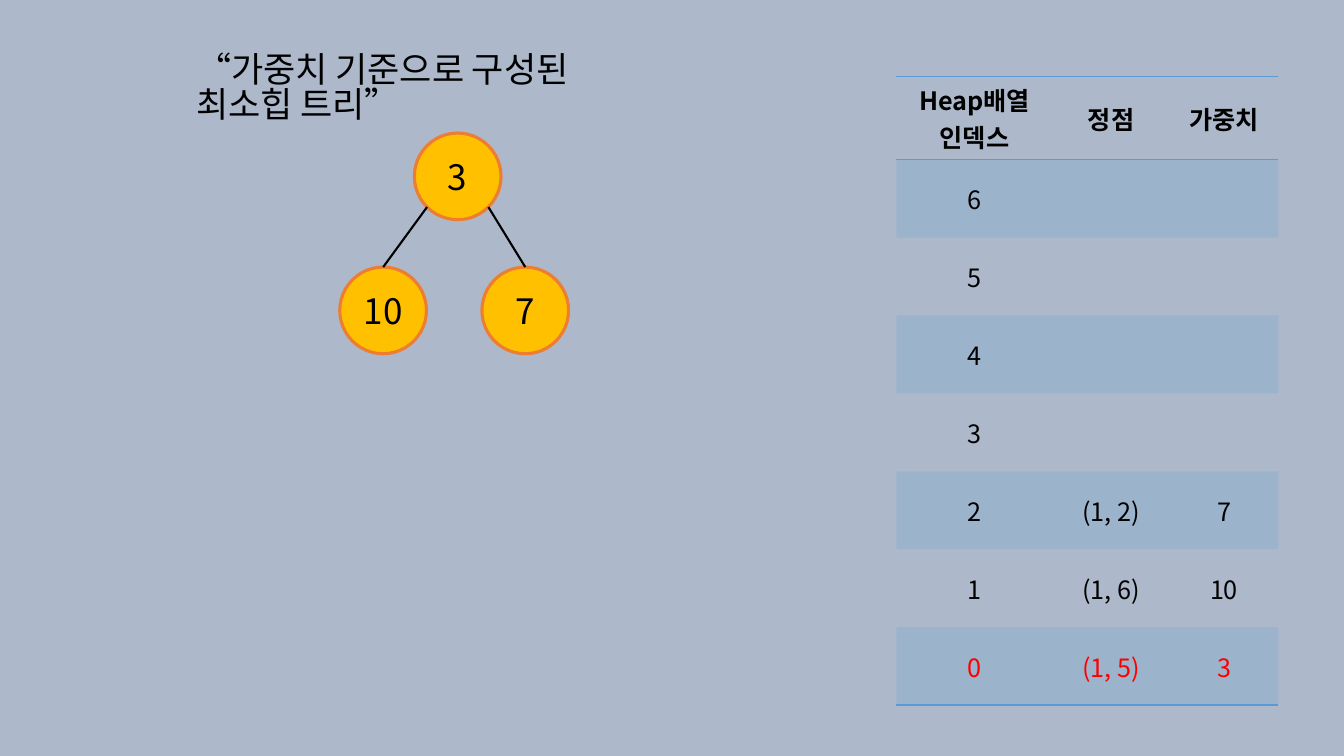
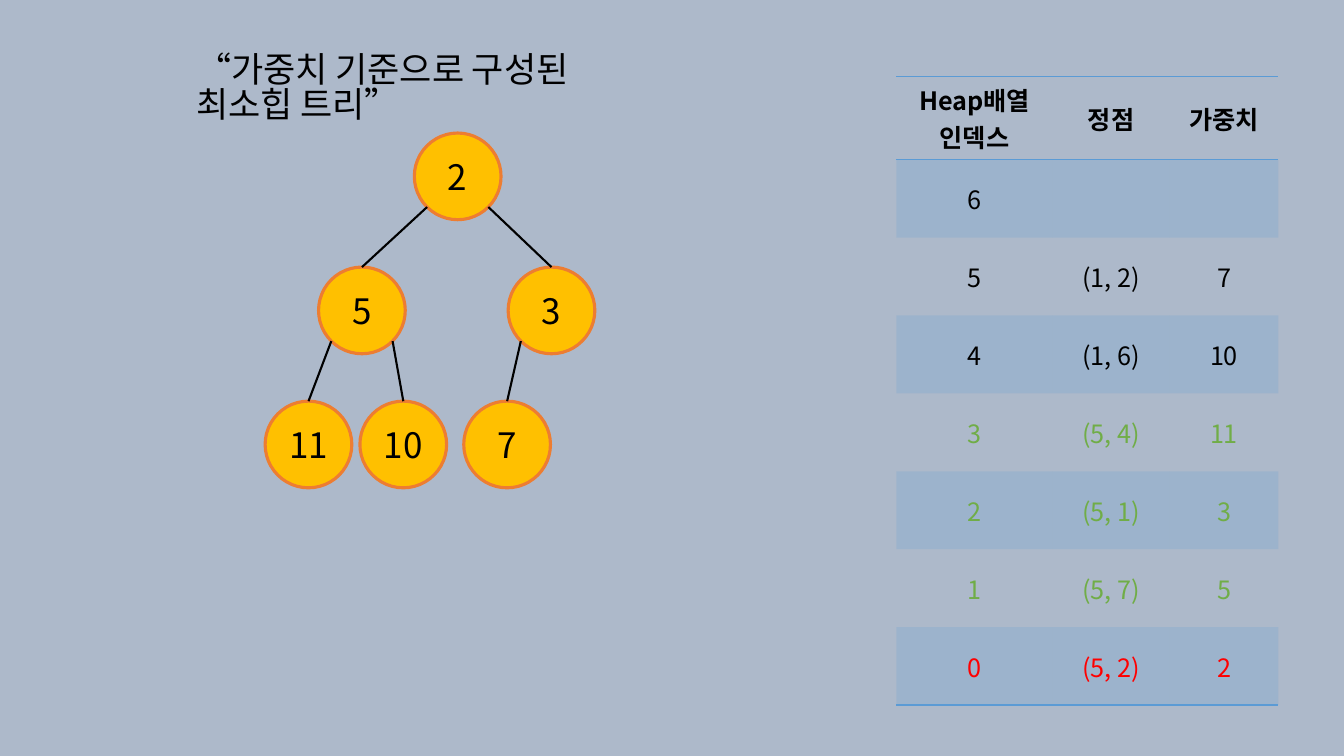
from pptx import Presentation
from pptx.dml.color import RGBColor
from pptx.enum.shapes import MSO_CONNECTOR, MSO_SHAPE
from pptx.enum.text import MSO_ANCHOR, PP_ALIGN
from pptx.oxml.ns import qn
from pptx.util import Inches, Pt
from lxml import etree

OVAL = MSO_SHAPE.OVAL
LINE = MSO_CONNECTOR.STRAIGHT
MIDDLE = MSO_ANCHOR.MIDDLE
LEFT, CENTER = PP_ALIGN.LEFT, PP_ALIGN.CENTER

FONT = "Noto Sans CJK KR"
PLAIN = "{2D5ABB26-0587-4C30-8999-92F81FD0307C}"
COLORS = {
    "back": "ADB9CA",
    "ink": "000000",
    "node": "FFC000",
    "ring": "ED7D31",
    "blue": "5B9BD5",
    "green": "70AD47",
    "red": "FF0000",
}
TITLE = "“가중치 기준으로 구성된 최소힙 트리”"
HEADS = ["Heap배열\n인덱스", "정점", "가중치"]
WIDTHS = [1.55, 1.16, 1.08]
SLOTS = 7
HEAD = 0.72
ROW = (6.13 - HEAD) / SLOTS
SIZE = 0.86
TOP = 1.32
STEP = 1.33
DIAG = SIZE / 2 * 0.5 ** 0.5

HEAPS = [
    [
        ("(1, 5)", 3, 4.11, "red"),
        ("(1, 6)", 10, 3.37, "ink"),
        ("(1, 2)", 7, 4.78, "ink"),
    ],
    [
        ("(5, 2)", 2, 4.11, "red"),
        ("(5, 7)", 5, 3.16, "green"),
        ("(5, 1)", 3, 5.04, "green"),
        ("(5, 4)", 11, 2.63, "green"),
        ("(1, 6)", 10, 3.57, "ink"),
        ("(1, 2)", 7, 4.6, "ink"),
    ],
]


def rgb(name):
    return RGBColor.from_string(COLORS[name])


def write(frame, text, size=25, color="ink", bold=False, align=CENTER, space=None):
    for i, part in enumerate(text.split("\n")):
        para = frame.add_paragraph() if i else frame.paragraphs[0]
        para.alignment = align
        if space:
            para.line_spacing = space
        run = para.add_run()
        run.text = part
        font = run.font
        font.size, font.bold, font.name = Pt(size), bold, FONT
        font.color.rgb = rgb(color)
        etree.SubElement(run._r.rPr, qn("a:ea"), typeface=FONT)


def add_title(slide):
    box = slide.shapes.add_textbox(Inches(1.85), Inches(0.49), Inches(4.76), Inches(0.52))
    box.text_frame.word_wrap = True
    write(box.text_frame, TITLE, align=LEFT, space=0.83)


def add_node(slide, value, left, top):
    node = slide.shapes.add_shape(OVAL, Inches(left), Inches(top), Inches(SIZE), Inches(SIZE))
    node.shadow.inherit = False
    node.fill.solid()
    node.fill.fore_color.rgb = rgb("node")
    node.line.color.rgb = rgb("ring")
    node.line.width = Pt(2.25)
    node.text_frame.vertical_anchor = MIDDLE
    write(node.text_frame, str(value))
    return node


def add_edge(slide, upper, lower, side):
    reach = Inches(DIAG)
    x = upper.left + upper.width // 2 + side * reach
    y = upper.top + upper.height // 2 + reach
    edge = slide.shapes.add_connector(LINE, x, y, x, y)
    edge.end_connect(lower, 0)
    edge.line.color.rgb = rgb("ink")
    edge.line.width = Pt(1.5)
    etree.SubElement(edge._element.spPr, qn("a:effectLst"))


def add_tree(slide, heap):
    nodes = []
    for i, (_, weight, left, _) in enumerate(heap):
        level = (i + 1).bit_length() - 1
        nodes.append(add_node(slide, weight, left, TOP + level * STEP))
        if i:
            add_edge(slide, nodes[(i - 1) // 2], nodes[i], -1 if i % 2 else 1)


def add_rule(cell, tag):
    rule = etree.SubElement(cell._tc.get_or_add_tcPr(), qn(tag), w=str(Pt(1)))
    fill = etree.SubElement(rule, qn("a:solidFill"))
    etree.SubElement(fill, qn("a:srgbClr"), val=COLORS["blue"])


def tint(cell):
    cell.fill.solid()
    cell.fill.fore_color.rgb = rgb("blue")
    shade = next(cell._tc.tcPr.find(qn("a:solidFill")).iter(qn("a:srgbClr")))
    etree.SubElement(shade, qn("a:alpha"), val="20000")


def add_table(slide, heap):
    frame = slide.shapes.add_table(
        SLOTS + 1, len(HEADS), Inches(8.89), Inches(0.76),
        Inches(sum(WIDTHS)), Inches(HEAD + SLOTS * ROW))
    next(frame._element.iter(qn("a:tableStyleId"))).text = PLAIN
    table = frame.table
    table.horz_banding = False
    for col, width in zip(table.columns, WIDTHS):
        col.width = Inches(width)
    rows = [(HEADS, "ink")]
    for slot in reversed(range(SLOTS)):
        pair, weight, _, color = heap[slot] if slot < len(heap) else ("", "", 0, "ink")
        rows.append(([str(slot), pair, str(weight)], color))
    for r, (texts, color) in enumerate(rows):
        table.rows[r].height = Inches(ROW if r else HEAD)
        for c, text in enumerate(texts):
            cell = table.cell(r, c)
            cell.vertical_anchor = MIDDLE
            if r == 0:
                add_rule(cell, "a:lnT")
            if r in (0, SLOTS):
                add_rule(cell, "a:lnB")
            if r % 2:
                tint(cell)
            else:
                cell.fill.background()
            if text:
                write(cell.text_frame, text, size=18, color=color, bold=r == 0)


def main():
    deck = Presentation()
    deck.slide_width, deck.slide_height = Inches(13.33), Inches(7.5)
    for heap in HEAPS:
        slide = deck.slides.add_slide(deck.slide_layouts[6])
        slide.background.fill.solid()
        slide.background.fill.fore_color.rgb = rgb("back")
        add_table(slide, heap)
        add_title(slide)
        add_tree(slide, heap)
    deck.save("out.pptx")


if __name__ == "__main__":
    main()
